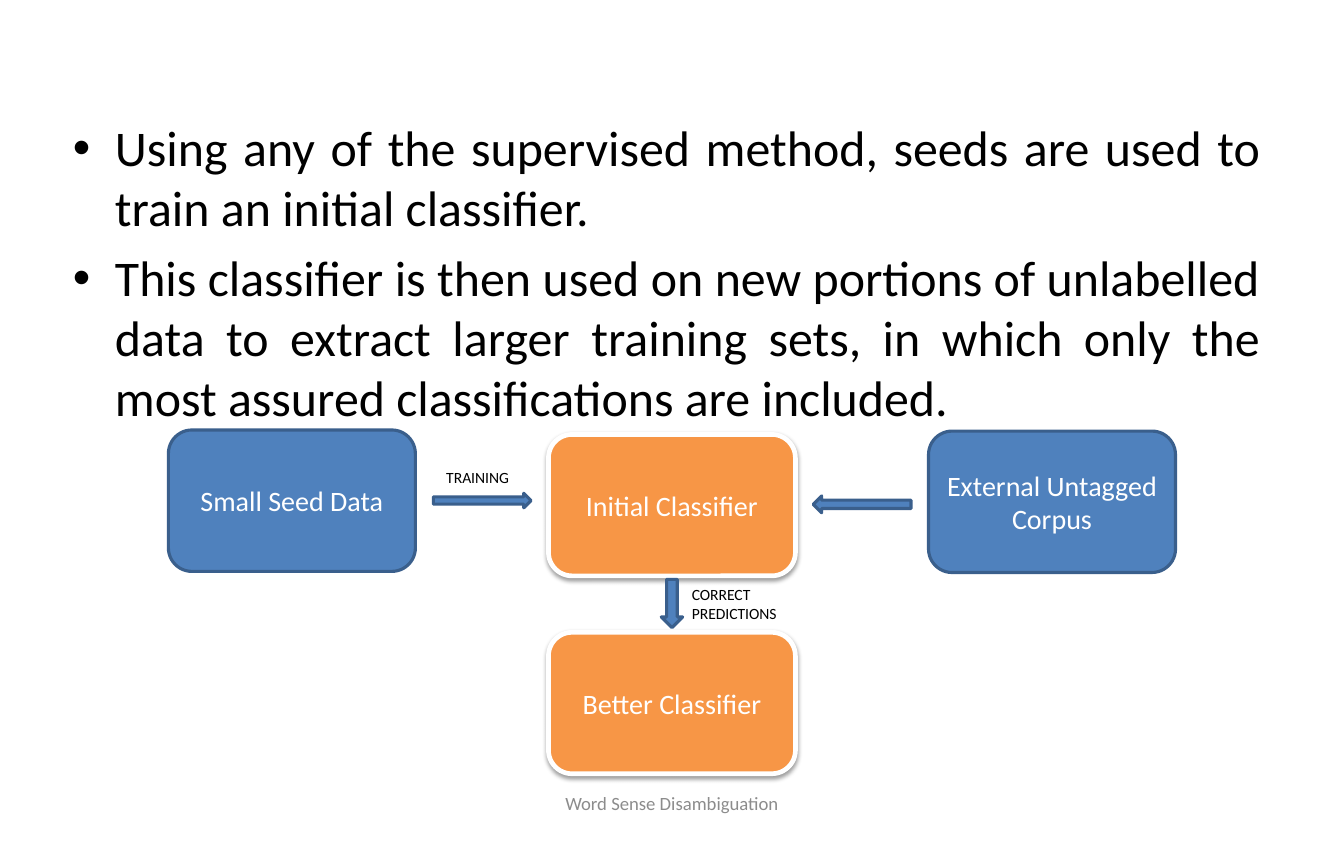
from lxml import etree
from pptx import Presentation
from pptx.dml.color import RGBColor
from pptx.enum.shapes import MSO_SHAPE
from pptx.enum.text import MSO_ANCHOR, PP_ALIGN
from pptx.oxml import parse_xml
from pptx.util import Inches, Pt

# Content: places are centre x, centre y in percent of the slide's size
POINTS = [
    "Using any of the supervised method, seeds are used to train an initial classifier. ",
    "This classifier is then used on new portions of unlabelled data to extract larger "
    "training sets, in which only the most assured classifications are included.",
]
FOOTER = "Word Sense Disambiguation"
MIDDLE, SIDE_STEP = 50, 28.28
BOX_SIZE = (18.38, 16.8)
BOXES = [
    ("Initial Classifier", (MIDDLE, 60), "classifier"),
    ("External Untagged Corpus", (MIDDLE + SIDE_STEP, 59.6), "data"),
    ("Small Seed Data", (MIDDLE - SIDE_STEP, 59.47), "data"),
    ("Better Classifier", (MIDDLE, 83.5), "classifier"),
]
ARROWS = [
    (MSO_SHAPE.RIGHT_ARROW, (35.88, 59.45), (7.27, 1.73), 0),
    (MSO_SHAPE.LEFT_ARROW, (64.15, 59.9), (7.27, 2), 0),
    (MSO_SHAPE.LEFT_ARROW, (MIDDLE, 71.67), (3.59, 2.53), 270),
]
ARROW_LABELS = [
    ("TRAINING", (35.68, 56.73), (6.6, 3.6)),
    ("CORRECT PREDICTIONS", (55.25, 71.8), (9.19, 5.87)),
]
LOOKS = {
    "data": {"fill": "4F81BD", "line": "3A5F8C", "width": 2, "shadow": False},
    "classifier": {"fill": "F79646", "line": "FFFFFF", "width": 3, "shadow": True},
}
FONTS = {
    "body": {"size": Pt(32), "name": "Calibri"},
    "box": {"size": Pt(18), "name": "Calibri"},
    "footer": {"size": Pt(12), "name": "Calibri"},
    "label": {"size": Pt(10), "name": "Calibri"},
}
BULLET_INDENT = Pt(27)
A = "http://schemas.openxmlformats.org/drawingml/2006/main"
SHADOW = (
    f'<a:effectLst xmlns:a="{A}"><a:outerShdw blurRad="{Pt(3.1)}" dist="{Pt(1.6)}" '
    'dir="5400000" rotWithShape="0"><a:srgbClr val="000000"><a:alpha val="38000"/>'
    "</a:srgbClr></a:outerShdw></a:effectLst>"
)

deck = Presentation()
deck.slide_width, deck.slide_height = Inches(11.97), Inches(7.5)
slide = deck.slides.add_slide(deck.slide_layouts[6])


def color(value):
    return RGBColor.from_string(value)


def area(centre, size):
    """Turn percent centre and size into left, top, width, height."""
    (x, y), (w, h) = centre, size
    across, down = deck.slide_width / 100, deck.slide_height / 100
    return [round(v) for v in ((x - w / 2) * across, (y - h / 2) * down, w * across, h * down)]


def write(shape, lines, font, ink, align, anchor=MSO_ANCHOR.TOP):
    frame = shape.text_frame
    frame.word_wrap, frame.vertical_anchor = True, anchor
    frame.text = "\n".join(lines)
    for paragraph in frame.paragraphs:
        paragraph.alignment = align
        for run in paragraph.runs:
            for key, value in FONTS[font].items():
                setattr(run.font, key, value)
            run.font.color.rgb = color(ink)
    return frame


def add_text(centre, size, *text):
    return write(slide.shapes.add_textbox(*area(centre, size)), *text)


def add_block(kind, centre, size, look):
    block = slide.shapes.add_shape(kind, *area(centre, size))
    block.fill.solid()
    block.fill.fore_color.rgb = color(look["fill"])
    block.line.color.rgb = color(look["line"])
    block.line.width = Pt(look["width"])
    block.shadow.inherit = False
    if look["shadow"]:
        properties = block.fill._xPr
        properties.replace(properties.find(f"{{{A}}}effectLst"), parse_xml(SHADOW))
    return block


# Bulleted text
body = add_text((49.65, 51.05), (90.1, 75.6), POINTS, "body", "000000", PP_ALIGN.JUSTIFY)
for point in body.paragraphs:
    point.space_before = Pt(6.4)
    bullet = point._p.get_or_add_pPr()
    bullet.set("marL", str(BULLET_INDENT))
    bullet.set("indent", str(-BULLET_INDENT))
    etree.SubElement(bullet, f"{{{A}}}buFont", typeface="Arial")
    etree.SubElement(bullet, f"{{{A}}}buChar", char="•")

# Footer
add_text((MIDDLE, 95.33), (31.66, 5.33), [FOOTER], "footer", "8C8C8C",
         PP_ALIGN.CENTER, MSO_ANCHOR.MIDDLE)

# Boxes of the flow
for name, centre, look in BOXES:
    box = add_block(MSO_SHAPE.ROUNDED_RECTANGLE, centre, BOX_SIZE, LOOKS[look])
    write(box, [name], "box", "FFFFFF", PP_ALIGN.CENTER, MSO_ANCHOR.MIDDLE)

# Arrows and their labels
for kind, centre, size, turn in ARROWS:
    add_block(kind, centre, size, LOOKS["data"]).rotation = turn
for label, centre, size in ARROW_LABELS:
    add_text(centre, size, [label], "label", "000000", PP_ALIGN.LEFT)

deck.save("out.pptx")
